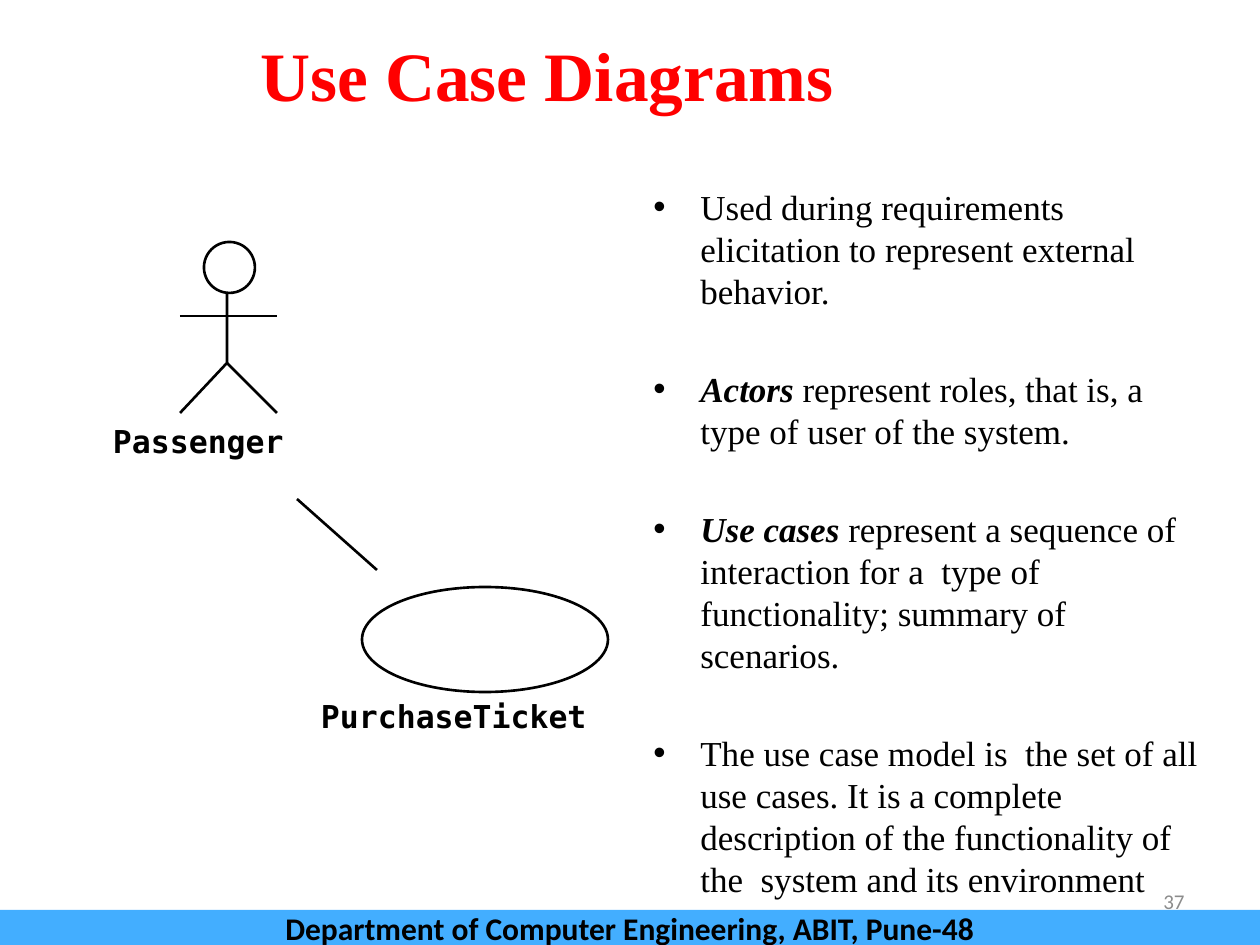
import pptx
import pptx.dml.color
import pptx.enum.shapes
import pptx.enum.text
import pptx.oxml.ns
import pptx.util
from lxml import etree

EMU_PER_PX = 914400 / 126
SERIF, SANS, MONO = "Times New Roman", "Calibri", "DejaVu Sans Mono"
BLACK, WHITE, RED, GREY, BLUE = "000000", "FFFFFF", "FF0000", "8C8C8C", "43AEFF"
LEFT = pptx.enum.text.PP_ALIGN.LEFT
CENTER = pptx.enum.text.PP_ALIGN.CENTER
RIGHT = pptx.enum.text.PP_ALIGN.RIGHT
MIDDLE = pptx.enum.text.MSO_ANCHOR.MIDDLE
OVAL = pptx.enum.shapes.MSO_SHAPE.OVAL
RECTANGLE = pptx.enum.shapes.MSO_SHAPE.RECTANGLE

POINTS = [
    [("Used during requirements elicitation to represent external behavior.", False)],
    [("Actors", True),
     (" represent roles, that is, a type of user of the system.", False)],
    [("Use cases", True),
     (" represent a sequence of interaction for a  type of functionality; "
      "summary of scenarios.", False)],
    [("The use case model is  the set of all use cases. It is a complete description "
      "of the functionality of the  system and its environment", False)],
]


def px(length):
    return pptx.util.Emu(round(length * EMU_PER_PX))


def color(value):
    return pptx.dml.color.RGBColor.from_string(value)


def add_span(para, text, font, size, ink=BLACK, bold=False, italic=False):
    span = para.add_run()
    span.text = text
    span.font.name = font
    span.font.size = pptx.util.Pt(size)
    span.font.color.rgb = color(ink)
    span.font.bold = bold
    span.font.italic = italic


def add_text_box(shapes, box):
    frame = shapes.add_textbox(*map(px, box)).text_frame
    frame.word_wrap = True
    return frame


def add_line_of_text(shapes, box, align, text, **style):
    """Place one vertically centred line of text."""
    frame = add_text_box(shapes, box)
    frame.vertical_anchor = MIDDLE
    para = frame.paragraphs[0]
    para.alignment = align
    add_span(para, text, **style)


def add_label(shapes, box, text):
    """Place a diagram label without margins or wrapping."""
    frame = add_text_box(shapes, box)
    frame.margin_left = frame.margin_right = frame.margin_top = frame.margin_bottom = 0
    frame.word_wrap = False
    frame.auto_size = pptx.enum.text.MSO_AUTO_SIZE.SHAPE_TO_FIT_TEXT
    add_span(frame.paragraphs[0], text, MONO, 18, bold=True)


def outline(shape):
    shape.line.color.rgb = color(BLACK)
    shape.line.width = pptx.util.Pt(1.5)


def add_shape(shapes, kind, box, fill=None):
    shape = shapes.add_shape(kind, *map(px, box))
    shape.shadow.inherit = False
    if fill:
        shape.fill.solid()
        shape.fill.fore_color.rgb = color(fill)
    else:
        shape.fill.background()
    return shape


def add_line(shapes, start, end):
    line = shapes.add_connector(
        pptx.enum.shapes.MSO_CONNECTOR.STRAIGHT, *map(px, start + end))
    outline(line)
    etree.SubElement(line._element.spPr, pptx.oxml.ns.qn("a:effectLst"))


def add_actor(page, box, name):
    """Draw a stick figure above its name."""
    left, top, width, height = box
    shapes = page.shapes.add_group_shape().shapes
    spine, hip = left + 114, top + 121
    hand_left, hand_right = left + 67, left + 164
    foot, arm = top + 171, top + 74
    builder = shapes.build_freeform(spine, top + 35, scale=EMU_PER_PX)
    builder.add_line_segments([(spine, hip), (hand_left, foot)], close=False)
    body = builder.convert_to_shape()
    body.shadow.inherit = False
    body.fill.background()
    outline(body)
    add_line(shapes, (spine, hip), (hand_right, foot))
    add_line(shapes, (hand_left, arm), (hand_right, arm))
    outline(add_shape(shapes, OVAL, (left + 91, top, 51, 51), WHITE))
    add_label(shapes, (left, top + height - 50, width, 50), name)


def add_use_case(page, box, name):
    """Draw an ellipse above its name."""
    left, top, width, height = box
    shapes = page.shapes.add_group_shape().shapes
    outline(add_shape(shapes, OVAL, (left + 41, top, 246, 105)))
    add_label(shapes, (left, top + height - 50, width, 50), name)


def add_bullets(page, box, points):
    frame = add_text_box(page.shapes, box)
    for index, point in enumerate(points):
        para = frame.add_paragraph() if index else frame.paragraphs[0]
        para.line_spacing = pptx.util.Pt(24)
        para.space_before = pptx.util.Pt(32 if index else 0)
        props = para._p.get_or_add_pPr()
        props.set("marL", str(px(47)))
        props.set("indent", str(px(-47)))
        etree.SubElement(props, pptx.oxml.ns.qn("a:buFont"), typeface="Arial")
        etree.SubElement(props, pptx.oxml.ns.qn("a:buChar"), char="•")
        for text, is_term in point:
            add_span(para, text, SERIF, 20, bold=is_term, italic=is_term)


def add_footer(page, box, text):
    bar = add_shape(page.shapes, RECTANGLE, box, BLUE)
    bar.line.fill.background()
    bar.text_frame.vertical_anchor = MIDDLE
    para = bar.text_frame.paragraphs[0]
    para.alignment = CENTER
    add_span(para, text, SANS, 18, bold=True)


def main():
    deck = pptx.Presentation()
    deck.slide_width, deck.slide_height = px(1260), px(945)
    page = deck.slides.add_slide(deck.slide_layouts[6])
    add_line_of_text(page.shapes, (63, 42, 968, 63), CENTER, "Use Case Diagrams",
                     font=SERIF, size=39.6, ink=RED, bold=True)
    add_line_of_text(page.shapes, (903, 876, 294, 50), RIGHT, "37",
                     font=SANS, size=12, ink=GREY)
    add_bullets(page, (641, 179, 577, 703), POINTS)
    add_actor(page, (113, 242, 227, 230), "Passenger")
    add_use_case(page, (321, 587, 353, 160), "PurchaseTicket")
    add_line(page.shapes, (297, 499), (377, 570))
    add_footer(page, (0, 910, 1260, 35),
               "Department of Computer Engineering, ABIT, Pune-48")
    deck.save("out.pptx")


if __name__ == "__main__":
    main()
